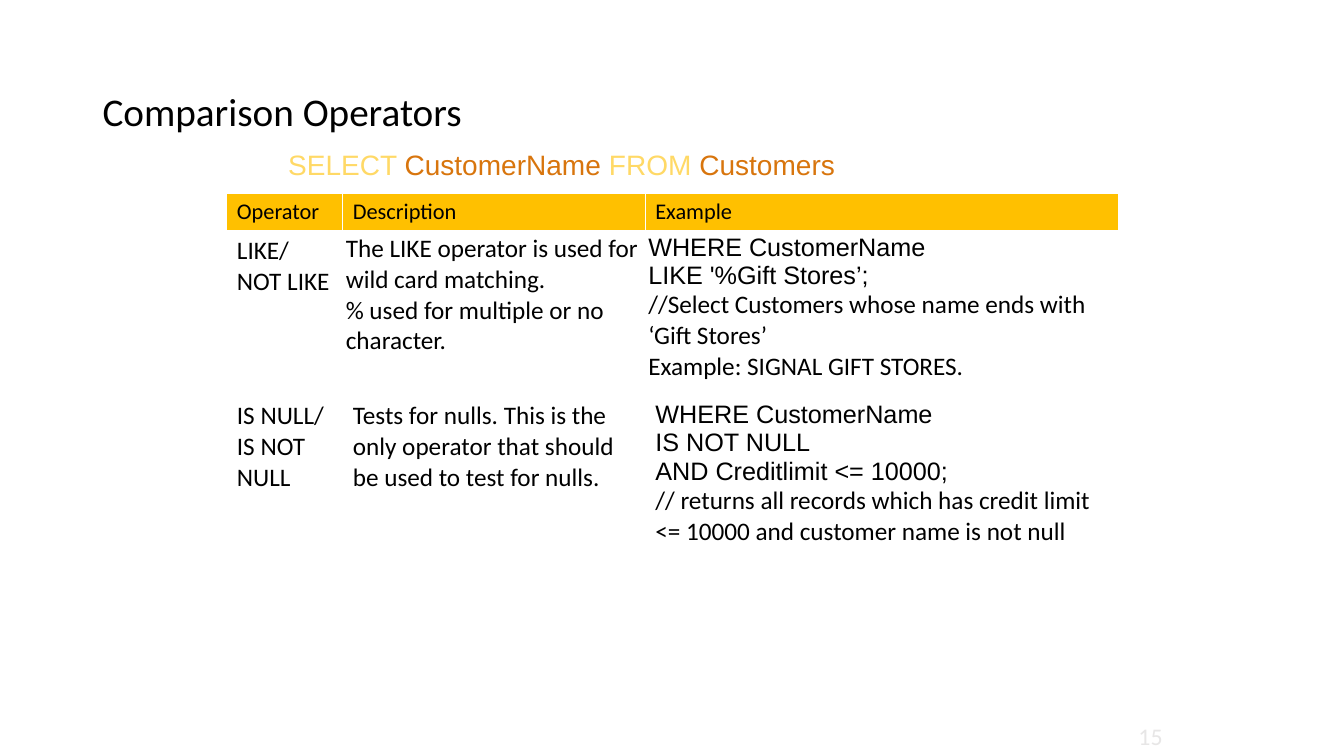
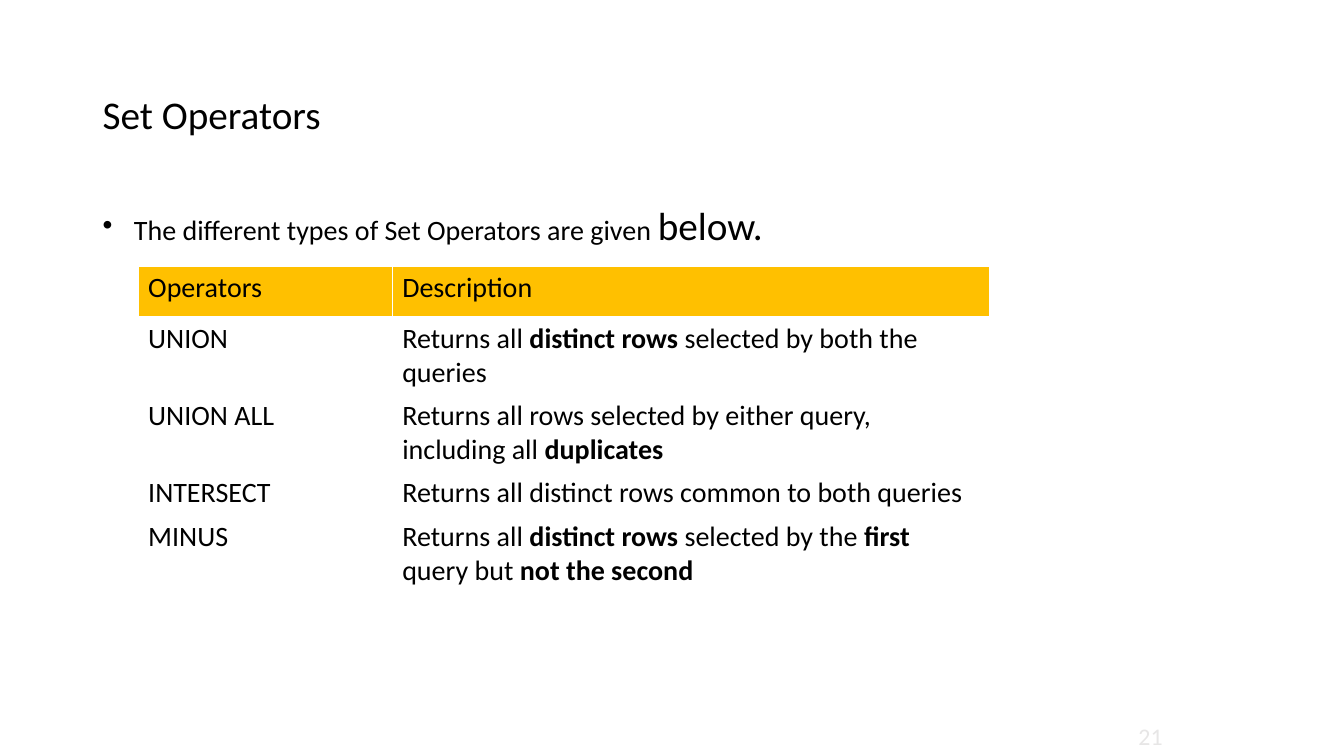
from pptx import Presentation
from pptx.dml.color import RGBColor
from pptx.enum.text import MSO_ANCHOR, PP_ALIGN
from pptx.oxml.ns import qn
from pptx.util import Inches, Pt
from lxml.etree import SubElement

BLACK = RGBColor(0x00, 0x00, 0x00)
GOLD = RGBColor(0xFF, 0xC0, 0x00)
SAND = RGBColor(0xFF, 0xD9, 0x66)
RUST = RGBColor(0xD8, 0x75, 0x0D)
PALE = RGBColor(0xE7, 0xE6, 0xE6)
BOLD = {"bold": True}
CODE = {"font": "Arial"}


def write(frame, text, space=None, align=None, **base):
    lines = [text] if isinstance(text, str) else text
    for i, line in enumerate(lines):
        para = frame.paragraphs[0] if i == 0 else frame.add_paragraph()
        para.line_spacing = space
        para.alignment = align
        parts = line if isinstance(line, list) else [line]
        for part in parts:
            words, extra = (part, {}) if isinstance(part, str) else part
            form = {"size": 20, "font": "Calibri", "color": BLACK, "bold": False, **base, **extra}
            run = para.add_run()
            run.text = words
            run.font.size = Pt(form["size"])
            run.font.name = form["font"]
            run.font.bold = form["bold"]
            run.font.color.rgb = form["color"]


class Deck:
    def __init__(self):
        self.show = Presentation()
        self.show.slide_width = Inches(13.33)
        self.show.slide_height = Inches(7.5)

    def start(self, title, number, space=None):
        self.slide = self.show.slides.add_slide(self.show.slide_layouts[6])
        self.text(title, (0.92, 0.4, 11.5, 1.45), anchor=MSO_ANCHOR.MIDDLE, size=28, space=space)
        self.text(number, (8.63, 7.1, 3, 0.4), anchor=MSO_ANCHOR.MIDDLE,
                  size=17, color=PALE, align=PP_ALIGN.RIGHT)

    def text(self, text, place, anchor=MSO_ANCHOR.TOP, wrap=True, **form):
        box = self.slide.shapes.add_textbox(*map(Inches, place))
        frame = box.text_frame
        frame.word_wrap = wrap
        frame.vertical_anchor = anchor
        write(frame, text, **form)
        return frame

    def bullet(self, text, place, **form):
        para = self.text(text, place, space=0.9, **form).paragraphs[0]
        para.space_before = Pt(10)
        props = para._p.get_or_add_pPr()
        props.set("marL", str(Inches(0.31)))
        props.set("indent", str(-Inches(0.31)))
        SubElement(props, qn("a:buFont")).set("typeface", "Arial")
        SubElement(props, qn("a:buChar")).set("char", "•")

    def table(self, rows, place, widths, heights, head=20, body=20, tight=()):
        left, top = map(Inches, place)
        grid = self.slide.shapes.add_table(
            len(rows), len(widths), left, top, Inches(sum(widths)), Inches(sum(heights))).table
        grid.horz_banding = False
        for col, width in zip(grid.columns, widths):
            col.width = Inches(width)
        for r, (row, height) in enumerate(zip(rows, heights)):
            grid.rows[r].height = Inches(height)
            for c, text in enumerate(row):
                cell = grid.cell(r, c)
                if r == 0:
                    cell.fill.solid()
                    cell.fill.fore_color.rgb = GOLD
                else:
                    cell.fill.background()
                if (r, c) in tight:
                    cell.margin_left = cell.margin_right = Inches(0.03)
                    cell.margin_top = cell.margin_bottom = Inches(0.03)
                write(cell.text_frame, text, size=body if r else head)


deck = Deck()

deck.start("Comparison Operators", "15", space=0.9)
deck.table([
    ["Operator", "Description", "Example"],
    ["LIKE/NOT LIKE",
     ["The LIKE operator is used for wild card matching.",
      "% used for multiple or no character."],
     [[("WHERE CustomerName", CODE)],
      [("LIKE '%Gift Stores’;", CODE)],
      "//Select Customers whose name ends with ‘Gift Stores’",
      "Example: SIGNAL GIFT STORES."]],
    [["IS NULL/", "IS NOT NULL"],
     "Tests for nulls. This is the only operator that should be used to test for nulls.",
     [[("WHERE CustomerName", CODE)],
      [("IS NOT NULL", CODE)],
      [("AND Creditlimit <= 10000;", CODE)],
      "// returns all records which has credit limit <= 10000 and customer name is not null"]],
], (2.25, 1.92), (1.15, 3, 4.69), (0.34, 1.64, 1.8), head=16, body=18, tight=((1, 1), (1, 2)))
deck.text([[("SELECT ", {"color": SAND}), "CustomerName ", ("FROM ", {"color": SAND}), "Customers"]],
          (2.76, 1.41, 5.67, 0.44), wrap=False, font="Arial", color=RUST)

deck.start("Set Operators", "21")
deck.bullet([["The different types of Set Operators are given ", ("below.", {"size": 28})]],
            (0.92, 2, 11.5, 4.76))
deck.table([
    ["Operators", "Description"],
    ["UNION", [["Returns all ", ("distinct rows ", BOLD), "selected by both the queries"]]],
    ["UNION ALL", [["Returns all rows selected by either query, including all ", ("duplicates", BOLD)]]],
    ["INTERSECT", "Returns all distinct rows common to both queries"],
    ["MINUS", [["Returns all ", ("distinct rows ", BOLD), "selected by the ", ("first", BOLD),
                " query but ", ("not the second", BOLD)]]],
], (1.37, 2.64), (2.52, 5.93), (0.5, 0.62, 0.62, 0.36, 0.62))

deck.show.save("out.pptx")
